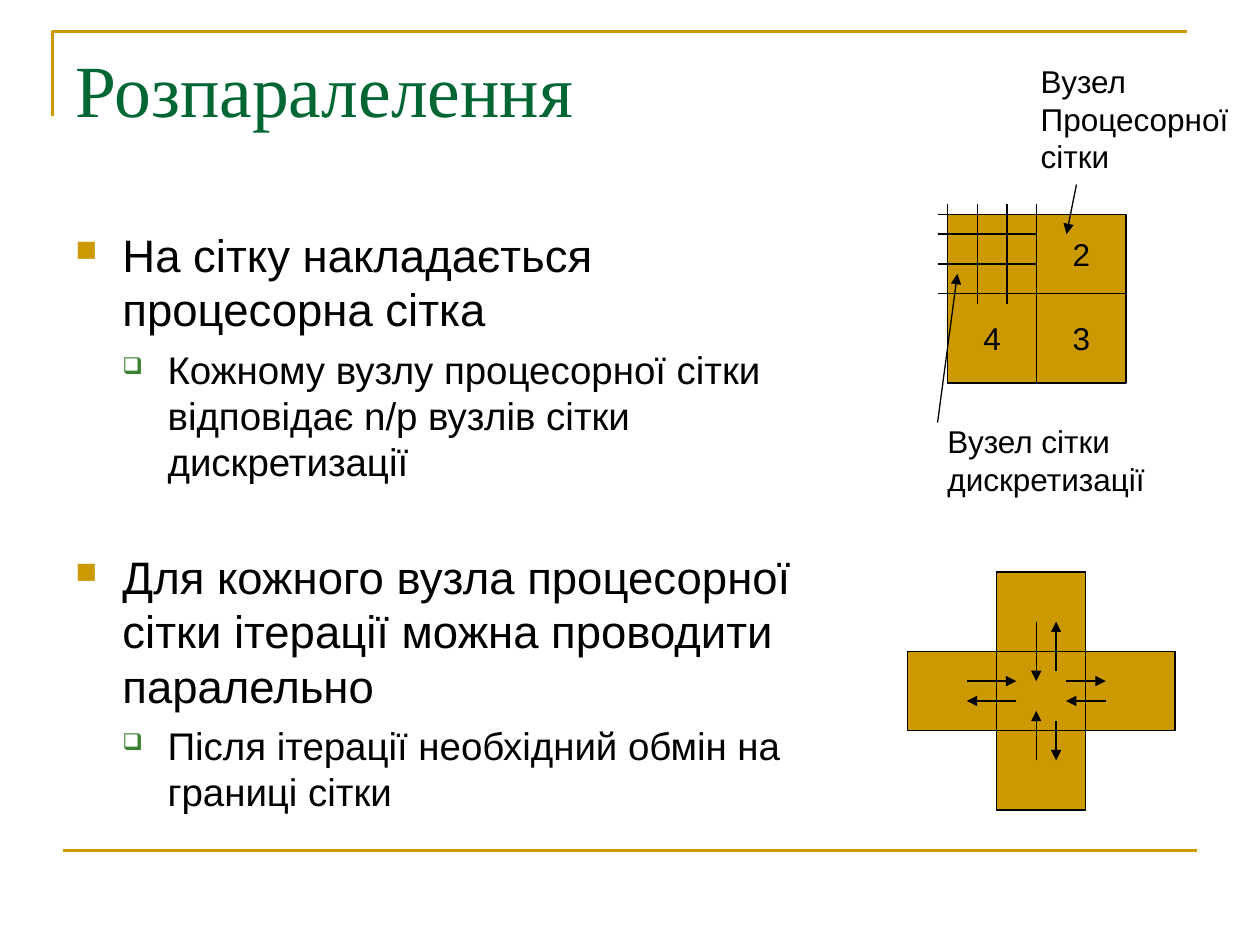
from lxml.etree import SubElement
from pptx import Presentation
from pptx.dml.color import RGBColor
from pptx.enum.shapes import MSO_CONNECTOR as Line, MSO_SHAPE as Shape
from pptx.enum.text import MSO_ANCHOR as Anchor, PP_ALIGN as Align
from pptx.oxml.ns import qn
from pptx.util import Cm, Pt

GOLD = RGBColor(0xCC, 0x99, 0x00)
GREEN = RGBColor(0x00, 0x66, 0x33)
LEAF = RGBColor(0x3B, 0x81, 0x2F)
BLACK = RGBColor(0x00, 0x00, 0x00)

CELL_W, CELL_H = 1.8, 1.6
OVERHANG = 0.2

BULLETS = {
    0: dict(char="■", color=GOLD, scale=65, size=26, margin=0.95, hang=0.95),
    1: dict(char="❑", color=LEAF, scale=60, size=22, margin=1.86, hang=0.91),
}
OUTLINE = [
    (0, "На сітку накладається процесорна сітка", 6.5),
    (1, "Кожному вузлу процесорної сітки відповідає n/p вузлів сітки дискретизації", 5.5),
    (0, "Для кожного вузла процесорної сітки ітерації можна проводити паралельно", 37),
    (1, "Після ітерації необхідний обмін на границі сітки", 5.5),
]


def style_font(paragraph, size, color=BLACK, name="Arial"):
    for run in paragraph.runs:
        run.font.size = Pt(size)
        run.font.name = name
        run.font.color.rgb = color


def add_line(slide, start, end, color=BLACK, width=0.75, arrow=False):
    line = slide.shapes.add_connector(Line.STRAIGHT, *map(Cm, (*start, *end)))
    line.line.color.rgb = color
    line.line.width = Pt(width)
    if arrow:
        SubElement(line.line._get_or_add_ln(), qn("a:tailEnd"), type="triangle")
    SubElement(line._element.spPr, qn("a:effectLst"))


def add_cell(slide, left, top, width, height, number=""):
    cell = slide.shapes.add_shape(Shape.RECTANGLE, *map(Cm, (left, top, width, height)))
    cell.shadow.inherit = False
    cell.fill.solid()
    cell.fill.fore_color.rgb = GOLD
    cell.line.color.rgb = BLACK
    cell.line.width = Pt(0.75)
    if number:
        frame = cell.text_frame
        frame.word_wrap = False
        frame.vertical_anchor = Anchor.MIDDLE
        frame.text = number
        frame.paragraphs[0].alignment = Align.CENTER
        style_font(frame.paragraphs[0], 18)


def add_label(slide, left, top, width, height, text):
    frame = slide.shapes.add_textbox(*map(Cm, (left, top, width, height))).text_frame
    frame.word_wrap = False
    frame.text = text
    for paragraph in frame.paragraphs:
        style_font(paragraph, 18)


def add_frame(slide, left, top, width, bottom):
    builder = slide.shapes.build_freeform(Cm(left), Cm(top + 1.7))
    builder.add_line_segments(
        [(Cm(left), Cm(top)), (Cm(left + width), Cm(top))], close=False)
    corner = builder.convert_to_shape()
    corner.shadow.inherit = False
    corner.fill.background()
    corner.line.color.rgb = GOLD
    corner.line.width = Pt(1.5)
    add_line(slide, (left + 0.2, bottom), (left + 0.2 + width, bottom), GOLD, 1.5)


def add_title(slide, left, top, width, height):
    frame = slide.shapes.add_textbox(*map(Cm, (left, top, width, height))).text_frame
    frame.word_wrap = True
    frame.text = "Розпаралелення"
    style_font(frame.paragraphs[0], 42, GREEN, "Times New Roman")


def add_bullet(paragraph, char, color, scale, margin, hang):
    properties = paragraph._p.get_or_add_pPr()
    properties.set("marL", str(Cm(margin)))
    properties.set("indent", str(-Cm(hang)))
    bullet_color = SubElement(properties, qn("a:buClr"))
    SubElement(bullet_color, qn("a:srgbClr"), val=str(color))
    SubElement(properties, qn("a:buSzPct"), val=str(scale * 1000))
    SubElement(properties, qn("a:buChar"), char=char)


def add_outline(slide, left, top, width, height):
    frame = slide.shapes.add_textbox(*map(Cm, (left, top, width, height))).text_frame
    frame.word_wrap = True
    frame.text = "\n".join(text for _, text, _ in OUTLINE)
    for paragraph, (level, _, gap) in zip(frame.paragraphs, OUTLINE):
        bullet = dict(BULLETS[level])
        style_font(paragraph, bullet.pop("size"))
        paragraph.level = level
        paragraph.space_before = Pt(gap)
        add_bullet(paragraph, **bullet)


def add_processor_grid(slide, left, top):
    for column, row, number in [(0, 0, ""), (1, 0, "2"), (0, 1, "4"), (1, 1, "3")]:
        add_cell(slide, left + column * CELL_W, top + row * CELL_H,
                 CELL_W, CELL_W if row else CELL_H, number)
    for step in range(4):
        x = left + step * CELL_W / 3
        add_line(slide, (x, top - OVERHANG), (x, top + CELL_H + OVERHANG))
    for offset in (0, 0.4, 1, CELL_H):
        y = top + offset
        add_line(slide, (left - OVERHANG, y), (left + CELL_W, y))
    add_line(slide, (left + 2.6, top - 0.6), (left + 2.4, top + 0.4), arrow=True)
    add_label(slide, left + 1.63, top - 3.2, 4.29, 2.54, "Вузел\nПроцесорної\nсітки")
    add_line(slide, (left - 0.2, top + 4.2), (left + 0.2, top + 1.2), arrow=True)
    add_label(slide, left - 0.25, top + 4.06, 4.5, 1.78, "Вузел сітки\nдискретизації")


def add_exchange_cross(slide, left, top):
    for column, row in [(1, 0), (1, 1), (1, 2), (2, 1), (0, 1)]:
        add_cell(slide, left + column * CELL_W, top + row * CELL_H, CELL_W, CELL_H)
    vertical = [(2.6, 1, 2.2), (3, 2, 1), (2.6, 3.8, 2.8), (3, 3, 3.8)]
    horizontal = [(2.2, 3.2, 4), (2.6, 4, 3.2), (2.2, 1.2, 2.2), (2.6, 2.2, 1.2)]
    for x, start, end in vertical:
        add_line(slide, (left + x, top + start), (left + x, top + end), arrow=True)
    for y, start, end in horizontal:
        add_line(slide, (left + start, top + y), (left + end, top + y), arrow=True)


def main():
    deck = Presentation()
    deck.slide_width, deck.slide_height = Cm(25.4), Cm(19.05)
    slide = deck.slides.add_slide(deck.slide_layouts[6])
    add_frame(slide, 1.06, 0.64, 22.86, 17.15)
    add_title(slide, 1.27, 0.76, 22.86, 3.18)
    add_outline(slide, 1.27, 4.45, 15.24, 12.57)
    add_processor_grid(slide, 19.1, 4.32)
    add_exchange_cross(slide, 18.29, 11.53)
    deck.save("out.pptx")


if __name__ == "__main__":
    main()
